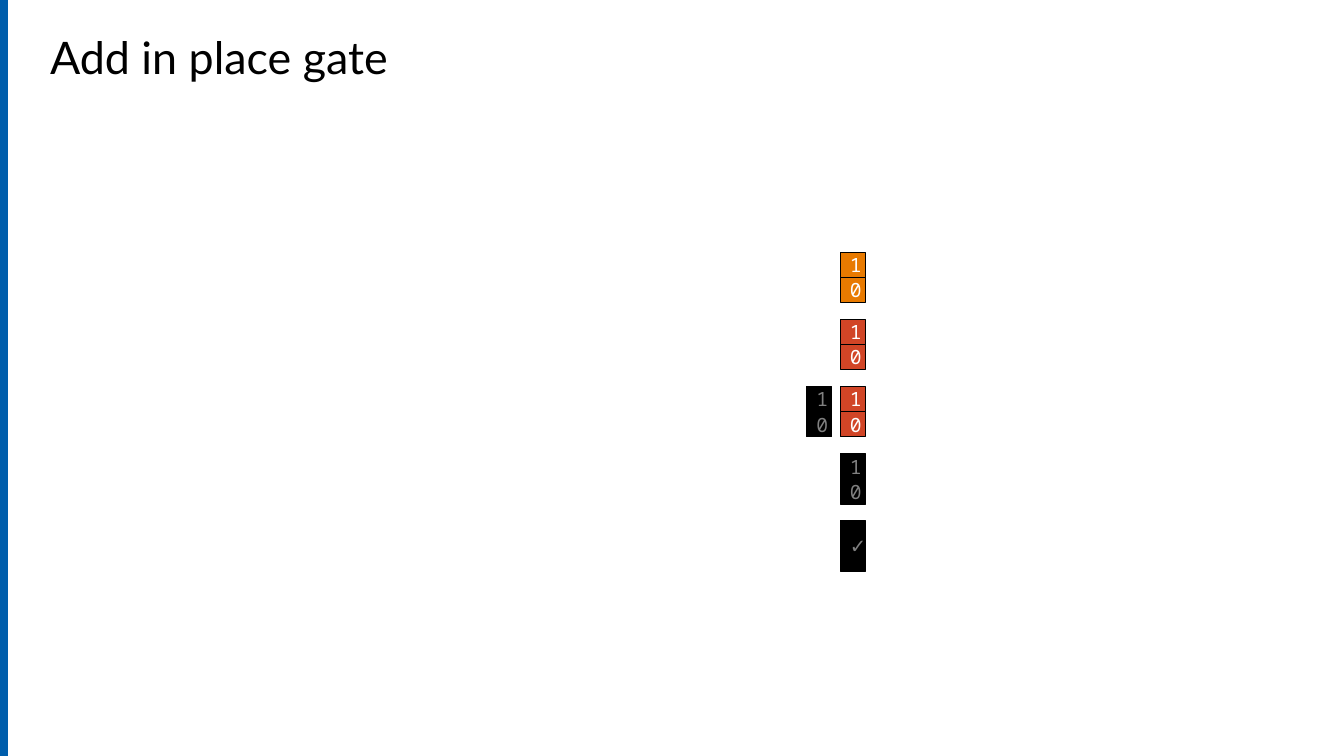
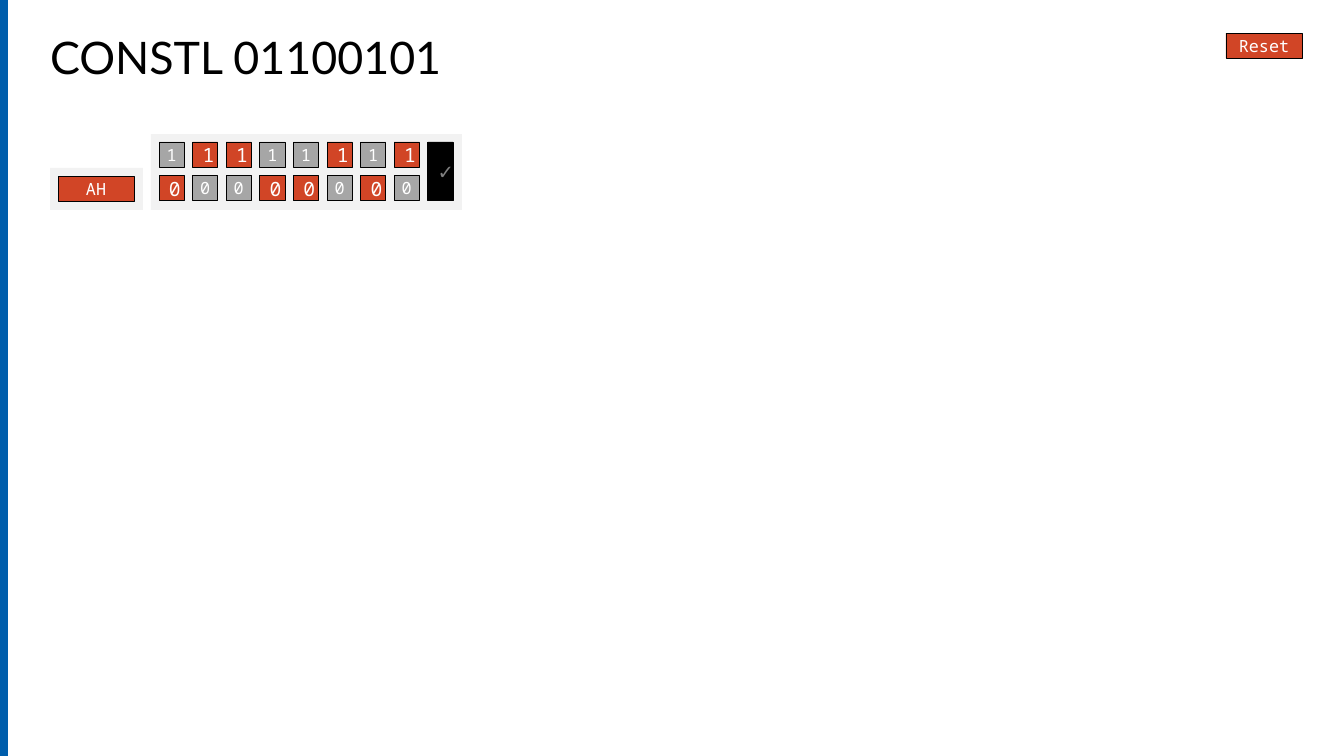
from pptx import Presentation
from pptx.dml.color import RGBColor
from pptx.enum.shapes import MSO_SHAPE
from pptx.enum.text import MSO_ANCHOR, MSO_AUTO_SIZE, PP_ALIGN
from pptx.util import Pt

SCALE = 914400 / 100.8
BLUE, RED, AMBER = "005EAC", "D14526", "E87A00"
BLACK, WHITE, DIM = "000000", "FFFFFF", "808080"
PALE, GREY = "F2F2F2", "A6A6A6"
CELL, STEP = 25.2, 33.6


def px(size):
    return round(size * SCALE)


def rgb(code):
    return RGBColor.from_string(code)


class Deck:
    def __init__(self):
        self.file = Presentation()
        self.file.slide_width = px(1344)
        self.file.slide_height = px(756)
        self.slide = None

    def page(self, title):
        first = self.slide is None
        self.slide = self.file.slides.add_slide(self.file.slide_layouts[5])
        if first:
            self.edge()
        head = self.slide.shapes.title
        head.left, head.top = px(50), px(25)
        head.width, head.height = px(605), px(65)
        frame = head.text_frame
        frame.margin_left = frame.margin_right = 0
        frame.margin_top = frame.margin_bottom = px(5)
        frame.word_wrap = True
        frame.auto_size = MSO_AUTO_SIZE.SHAPE_TO_FIT_TEXT
        self.text(frame, title, 32, "Lato", BLACK, PP_ALIGN.LEFT, MSO_ANCHOR.TOP)

    def edge(self):
        bar = self.panel(0, 0, 8, 756, BLUE)
        node = bar.element
        node.nvSpPr.cNvPr.id = 99
        self.file.slide_master.shapes.element.insert(2, node)

    def text(self, frame, words, size, face, ink, align, anchor):
        frame.vertical_anchor = anchor
        line = frame.paragraphs[0]
        line.alignment = align
        run = line.add_run()
        run.text = words
        run.font.size = Pt(size)
        run.font.name = face
        run.font.color.rgb = rgb(ink)

    def panel(self, x, y, w, h, fill):
        box = self.slide.shapes.add_shape(
            MSO_SHAPE.RECTANGLE, px(x), px(y), px(w), px(h))
        box.shadow.inherit = False
        box.fill.solid()
        box.fill.fore_color.rgb = rgb(fill)
        box.line.fill.background()
        return box

    def cell(self, words, x, y, fill, ink=WHITE, w=CELL, h=CELL, size=14, wrap=True):
        box = self.panel(x, y, w, h, fill)
        box.line.color.rgb = rgb(BLACK)
        box.line.width = Pt(0.5)
        box.text_frame.word_wrap = wrap
        self.text(box.text_frame, words, size, "Noto Sans Mono", ink,
                  PP_ALIGN.CENTER, MSO_ANCHOR.MIDDLE)

    def pair(self, x, y, fill, ink=WHITE):
        for row, bit in enumerate("10"):
            self.cell(bit, x, y + row * CELL, fill, ink)

    def label(self, words, x, y, fill=RED, w=76):
        self.cell(words, x, y, fill, w=w, size=12, wrap=False)

    def check(self, x, y, h):
        self.cell("✓", x, y, BLACK, DIM, h=h)


deck = Deck()

deck.page("Add in place gate")
left, top = 840, 252
gap = 2 * STEP
for row, (fill, ink) in enumerate(
        [(AMBER, WHITE), (RED, WHITE), (RED, WHITE), (BLACK, DIM)]):
    deck.pair(left, top + row * gap, fill, ink)
deck.pair(left - STEP, top + 2 * gap, BLACK, DIM)
deck.check(left, top + 4 * gap, 2 * CELL)

word = "01100101"
deck.page("CONSTL " + word)
deck.label("Reset", 1226, 33)
deck.panel(50, 168, 93, 42, PALE)
deck.label("AH", 58, 176)
deck.panel(151, 134, 311, 76, PALE)
left, top = 159, 142
for col, want in enumerate(word):
    for row, bit in enumerate("10"):
        x, y = left + col * STEP, top + row * STEP
        if bit == want:
            deck.cell(bit, x, y, RED)
        else:
            deck.label(bit, x, y, GREY, CELL)
deck.check(left + len(word) * STEP, top, STEP + CELL)

deck.file.save("out.pptx")
